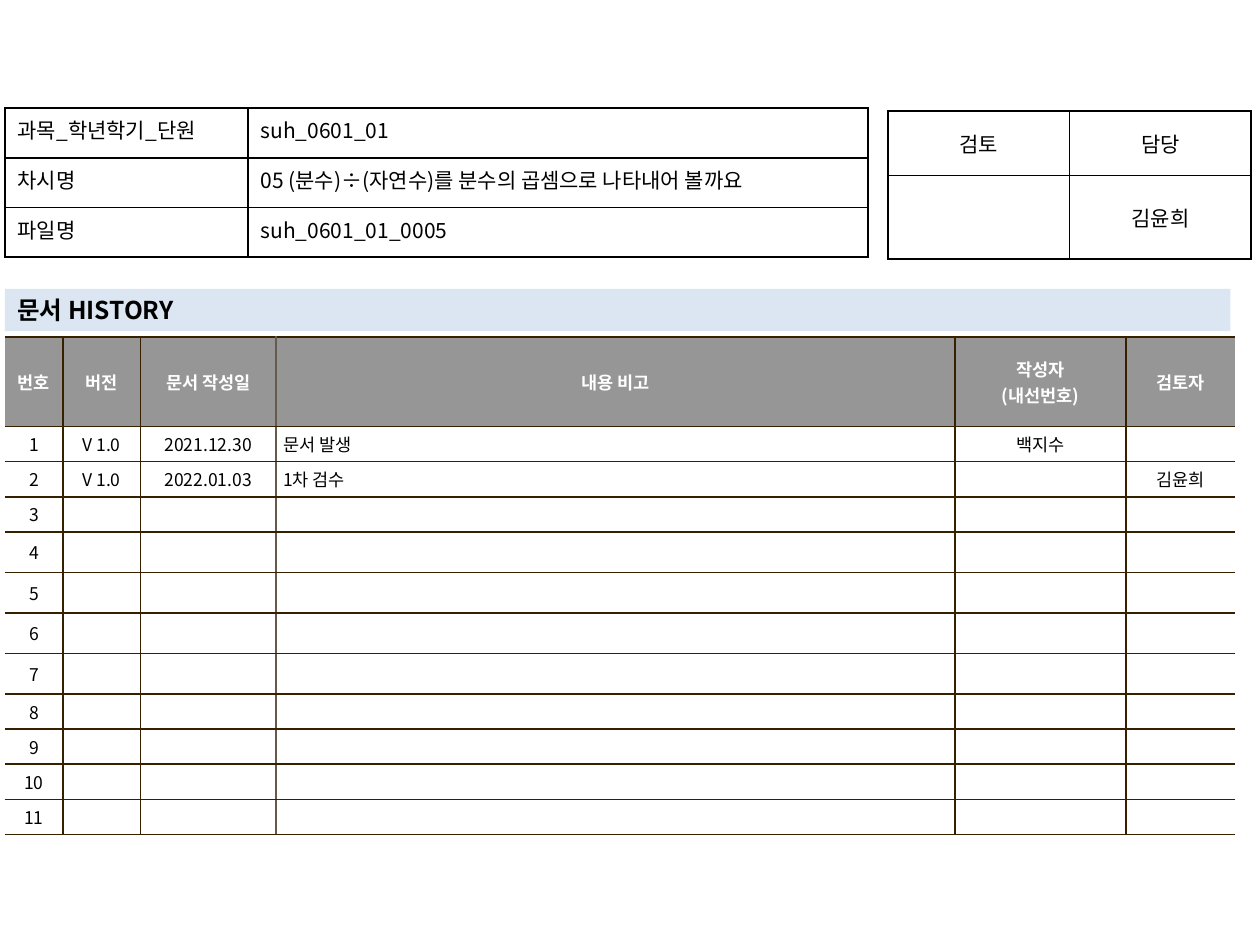
from lxml.etree import SubElement
from pptx import Presentation
from pptx.dml.color import RGBColor
from pptx.enum.shapes import MSO_SHAPE
from pptx.enum.text import MSO_ANCHOR as ANCHOR, PP_ALIGN as ALIGN
from pptx.oxml.ns import qn
from pptx.util import Pt

FONT = "Noto Sans CJK KR"
BLACK = RGBColor(0x00, 0x00, 0x00)
WHITE = RGBColor(0xFF, 0xFF, 0xFF)
GRAY = RGBColor(0x96, 0x96, 0x96)
PALE_BLUE = RGBColor(0xDC, 0xE6, 0xF2)
BROWN = RGBColor(0x36, 0x20, 0x00)
TAUPE = RGBColor(0x64, 0x5B, 0x4C)

INFO = [
    ("과목_학년학기_단원", "suh_0601_01"),
    ("차시명", "05 (분수)÷(자연수)를 분수의 곱셈으로 나타내어 볼까요"),
    ("파일명", "suh_0601_01_0005"),
]
APPROVAL = [("검토", "담당"), ("", "김윤희")]
HEADERS = ("번호", "버전", "문서 작성일", "내용 비고", "작성자\n(내선번호)", "검토자")
ENTRIES = [
    ("V 1.0", "2021.12.30", "문서 발생", "백지수", ""),
    ("V 1.0", "2022.01.03", "1차 검수", "", "김윤희"),
]
ENTRY_COUNT = 11


def write(tf, text, size=12, color=BLACK, bold=False, align=ALIGN.LEFT):
    for i, line in enumerate(text.split("\n")):
        p = tf.paragraphs[0] if i == 0 else tf.add_paragraph()
        p.alignment = align
        if not line:
            # The end mark sets the line height of an empty cell
            SubElement(p._p, qn("a:endParaRPr"), sz=str(size * 100))
            continue
        r = p.add_run()
        r.text = line
        r.font.name, r.font.size, r.font.bold = FONT, Pt(size), bold
        r.font.color.rgb = color
        SubElement(r.font._element, qn("a:ea"), typeface=FONT)


def set_borders(cell, left, right, top, bottom):
    tc_pr = cell._tc.get_or_add_tcPr()
    for side, color in zip("LRTB", (left, right, top, bottom)):
        ln = SubElement(tc_pr, qn(f"a:ln{side}"), w=str(Pt(1)))
        if color is None:
            SubElement(ln, qn("a:noFill"))
        else:
            fill = SubElement(ln, qn("a:solidFill"))
            SubElement(fill, qn("a:srgbClr"), val=str(color))


def set_margins(cell, side, end):
    cell.margin_left = cell.margin_right = Pt(side)
    cell.margin_top = cell.margin_bottom = Pt(end)


def add_grid(slide, left, top, widths, heights):
    frame = slide.shapes.add_table(len(heights), len(widths), Pt(left), Pt(top),
                                   Pt(sum(widths)), Pt(sum(heights)))
    table = frame.table
    table.first_row = table.horz_banding = False
    for column, width in zip(table.columns, widths):
        column.width = Pt(width)
    for row, height in zip(table.rows, heights):
        row.height = Pt(height)
    return table


def add_form(slide, left, top, widths, heights, rows, aligns, anchor):
    table = add_grid(slide, left, top, widths, heights)
    for r, row in enumerate(rows):
        for c, text in enumerate(row):
            cell = table.cell(r, c)
            set_borders(cell, BLACK, BLACK, BLACK, BLACK)
            cell.fill.background()
            set_margins(cell, 7.2, 3.6)
            cell.vertical_anchor = anchor
            write(cell.text_frame, text, align=aligns[c])


def add_heading(slide, text):
    s = slide.shapes.add_shape(MSO_SHAPE.RECTANGLE, Pt(2.8), Pt(165.1),
                               Pt(700.3), Pt(24.2))
    s.shadow.inherit = False
    s.fill.solid()
    s.fill.fore_color.rgb = PALE_BLUE
    s.line.fill.background()
    s.text_frame.vertical_anchor = ANCHOR.MIDDLE
    write(s.text_frame, text, size=14, bold=True)


def add_history(slide):
    widths = [33.1, 44.3, 77.5, 388, 97.8, 62.5]
    heights = [51] + [20.1] * 3 + [23.15] * 4 + [20.1] * 4
    table = add_grid(slide, 2.8, 192.7, widths, heights)

    blank = ("",) * (len(HEADERS) - 1)
    entries = ENTRIES + [blank] * (ENTRY_COUNT - len(ENTRIES))
    rows = [HEADERS] + [(str(n), *entry) for n, entry in enumerate(entries, 1)]

    # Vertical rules from left to right, with open outer sides
    rules = [None, BROWN, BROWN, TAUPE, BROWN, BROWN, None]
    for r, row in enumerate(rows):
        header = r == 0
        for c, text in enumerate(row):
            cell = table.cell(r, c)
            set_borders(cell, rules[c], rules[c + 1], BROWN, BROWN)
            cell.fill.solid()
            cell.fill.fore_color.rgb = GRAY if header else WHITE
            set_margins(cell, 4.2, 2.8)
            cell.vertical_anchor = ANCHOR.MIDDLE
            note = c == 3 and not header
            write(cell.text_frame, text, size=10, bold=header,
                  color=WHITE if header else BLACK,
                  align=ALIGN.LEFT if note else ALIGN.CENTER)


def main():
    prs = Presentation()
    prs.slide_width, prs.slide_height = Pt(720), Pt(540)
    slide = prs.slides.add_slide(prs.slide_layouts[6])

    # Document history
    add_history(slide)
    add_heading(slide, "문서 HISTORY")

    # Approval box and lesson details
    add_form(slide, 507.5, 63.3, [103.75] * 2, [36.9, 47.8], APPROVAL,
             [ALIGN.CENTER] * 2, ANCHOR.MIDDLE)
    add_form(slide, 2.9, 61.8, [138.8, 354.3], [28.4] * 3, INFO,
             [ALIGN.JUSTIFY, ALIGN.LEFT], ANCHOR.TOP)

    prs.save("out.pptx")


if __name__ == "__main__":
    main()
